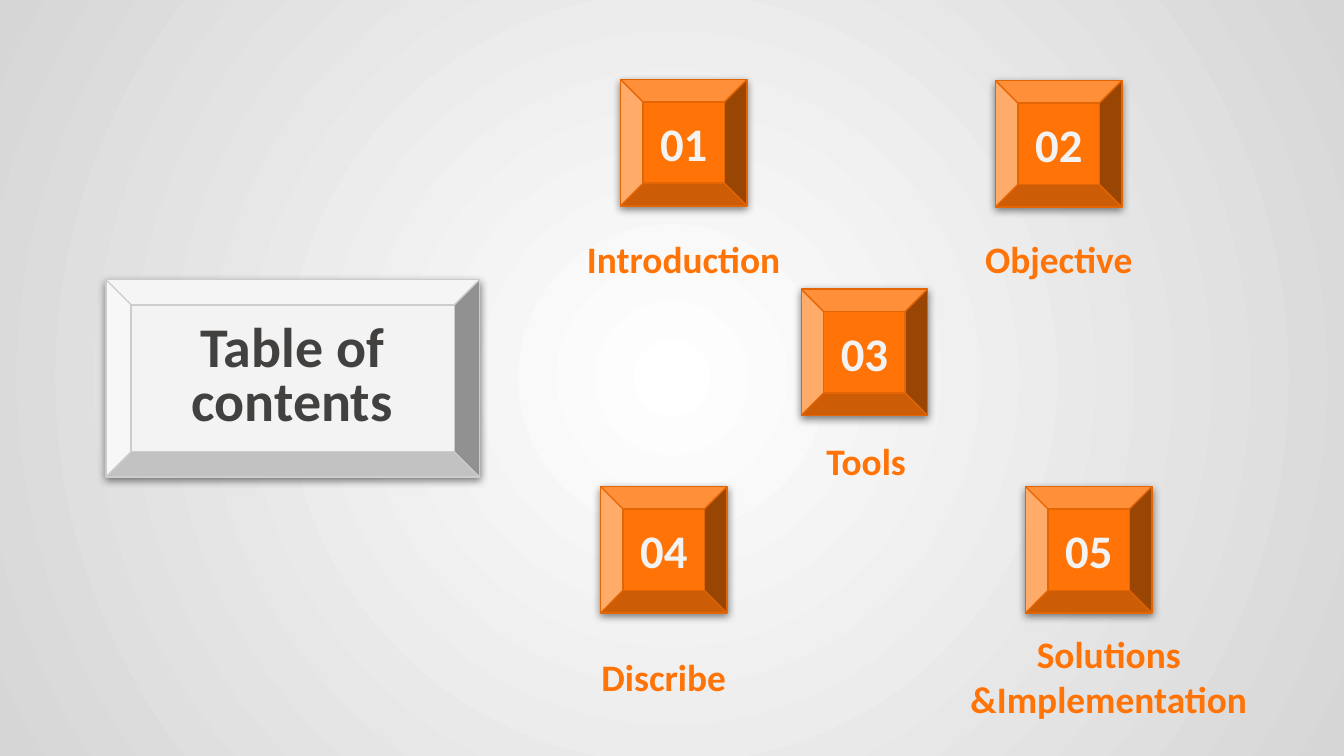
from lxml import etree
from pptx import Presentation
from pptx.dml.color import RGBColor
from pptx.enum.shapes import MSO_SHAPE as SHAPE
from pptx.enum.text import MSO_ANCHOR as ANCHOR, MSO_AUTO_SIZE as AUTO, PP_ALIGN as ALIGN
from pptx.oxml.ns import qn
from pptx.util import Pt

COLORS = {
    "orange": "FF7307", "orange edge": "E46503",
    "plate": "F3F3F3", "plate edge": "CCCCCC",
    "heading": "42413F", "shadow": "000000",
    "glow": "FFFFFF", "rim": "D6D6D6",
}
TILE = 67.7

# Number, label, tile centre x, tile top, label centre x, label top, label width
SECTIONS = [
    ("01", "Introduction", 366.3, 42.6, 366.3, 123.1, 172),
    ("02", "Objective", 567.2, 43.2, 567.2, 123.1, 172),
    ("03", "Tools", 463.1, 154.9, 464, 231.1, 172),
    ("04", "Discribe", 355.6, 260.7, 355.6, 347, 172),
    ("05", "Solutions &Implementation", 583.3, 260.7, 594, 346.5, 203),
]


def rgb(name):
    return RGBColor.from_string(COLORS[name])


class Deck:
    font = "Calibri"
    inset = Pt(7.2)

    def __init__(self, width, height):
        self.prs = Presentation()
        self.prs.slide_width, self.prs.slide_height = Pt(width), Pt(height)
        self.slide = self.prs.slides.add_slide(self.prs.slide_layouts[5])

    def radial_background(self, center, edge):
        fill = self.slide.background.fill
        fill.gradient()
        for stop, position, name in zip(fill.gradient_stops, (0, 1), (center, edge)):
            stop.position = position
            stop.color.rgb = rgb(name)
        gradient = self.slide.element.find(".//" + qn("a:gradFill"))
        gradient.remove(gradient.find(qn("a:lin")))
        circle = etree.SubElement(gradient, qn("a:path"), path="circle")
        etree.SubElement(circle, qn("a:fillToRect"),
                         {side: "50000" for side in "ltrb"})

    def bevel(self, left, top, width, height, depth, fill, edge):
        block = self.slide.shapes.add_shape(
            SHAPE.BEVEL, Pt(left), Pt(top), Pt(width), Pt(height))
        block.adjustments[0] = depth
        block.fill.solid()
        block.fill.fore_color.rgb = rgb(fill)
        block.line.color.rgb = rgb(edge)
        block.line.width = Pt(0.75)
        self.drop_shadow(block)

    def drop_shadow(self, block):
        block.shadow.inherit = False
        effects = block.element.spPr.find(qn("a:effectLst"))
        shadow = etree.SubElement(
            effects, qn("a:outerShdw"), blurRad=str(Pt(4.5)), dist=str(Pt(1.5)),
            dir="5400000", algn="bl", rotWithShape="0")
        color = etree.SubElement(shadow, qn("a:srgbClr"), val=COLORS["shadow"])
        etree.SubElement(color, qn("a:alpha"), val="50000")

    def text(self, words, center, top, width, height, size, color):
        box = self.slide.shapes.add_textbox(0, 0, 0, 0)
        self.set_text(box, words, center, top, width, height, size, color)

    def title(self, words, center, top, width, height, size, color):
        heading = self.slide.shapes.title
        # Bring the title in front of its plate
        heading.element.getparent().append(heading.element)
        self.set_text(heading, words, center, top, width, height, size, color)
        heading.text_frame.paragraphs[0].line_spacing = 0.8

    def set_text(self, box, words, center, top, width, height, size, color):
        box.left, box.top = Pt(center - width / 2), Pt(top)
        box.width, box.height = Pt(width), Pt(height)
        frame = box.text_frame
        frame.text = words
        frame.word_wrap = True
        frame.auto_size = AUTO.NONE
        frame.vertical_anchor = ANCHOR.MIDDLE
        frame.margin_left = frame.margin_right = self.inset
        frame.margin_top = frame.margin_bottom = self.inset
        paragraph = frame.paragraphs[0]
        paragraph.alignment = ALIGN.CENTER
        font = paragraph.runs[0].font
        font.name, font.size, font.bold = self.font, Pt(size), True
        font.color.rgb = rgb(color)


def main():
    deck = Deck(720, 405)
    deck.radial_background("glow", "rim")

    # Heading plate
    deck.bevel(56.7, 149.8, 200.2, 105.8, 0.128, "plate", "plate edge")
    deck.title("Table of contents", 156.6, 144.7, 172, 116, 30, "heading")

    # Numbered sections
    for number, label, center, top, label_center, label_top, label_width in SECTIONS:
        deck.bevel(center - TILE / 2, top, TILE, TILE, 0.179, "orange", "orange edge")
        deck.text(number, center, top + 15, 100, 38.2, 25, "plate")
        deck.text(label, label_center, label_top, label_width, 31, 20, "orange")

    deck.prs.save("out.pptx")


if __name__ == "__main__":
    main()
